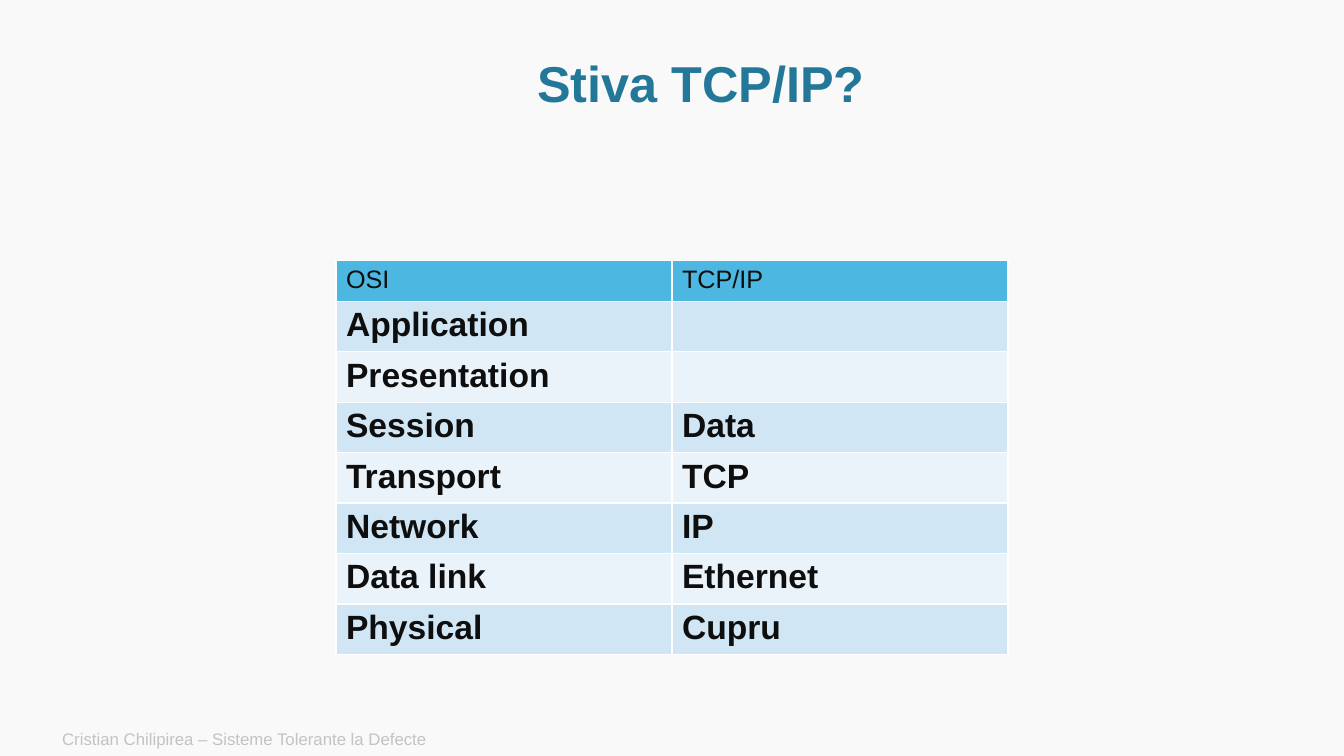
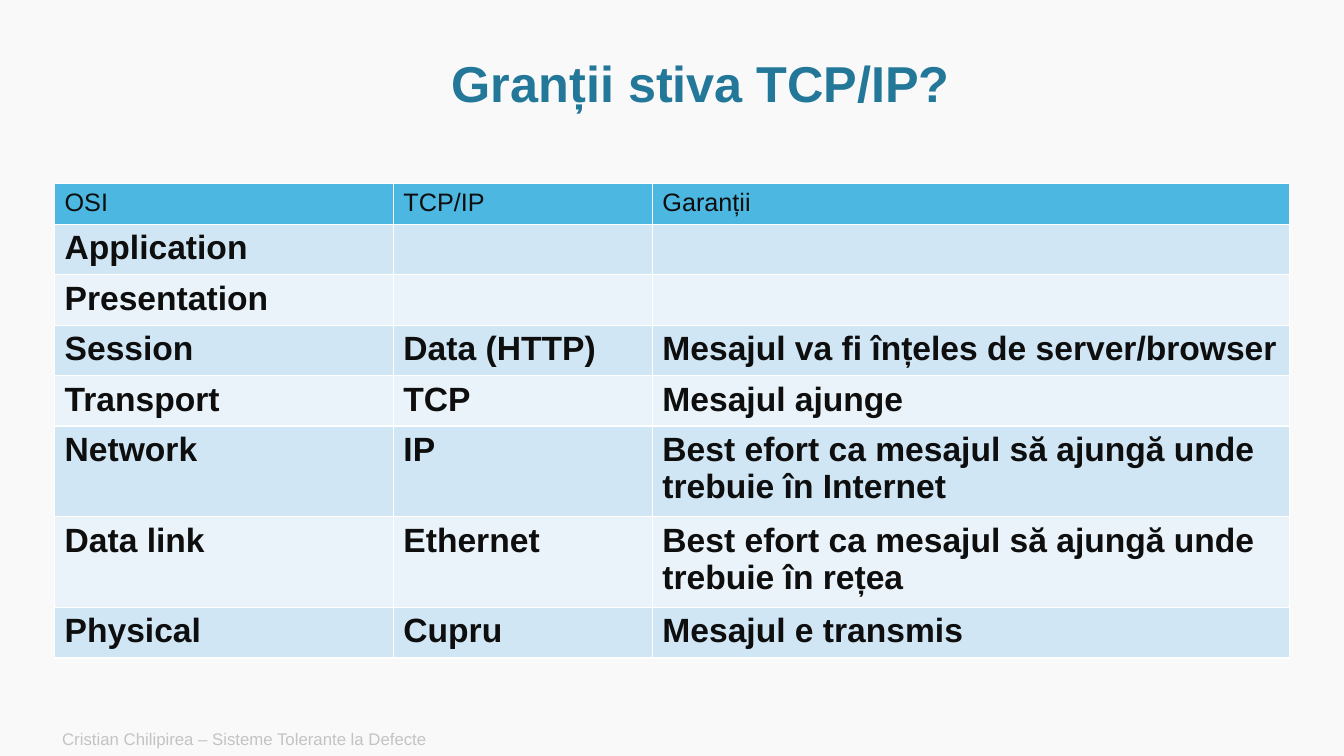
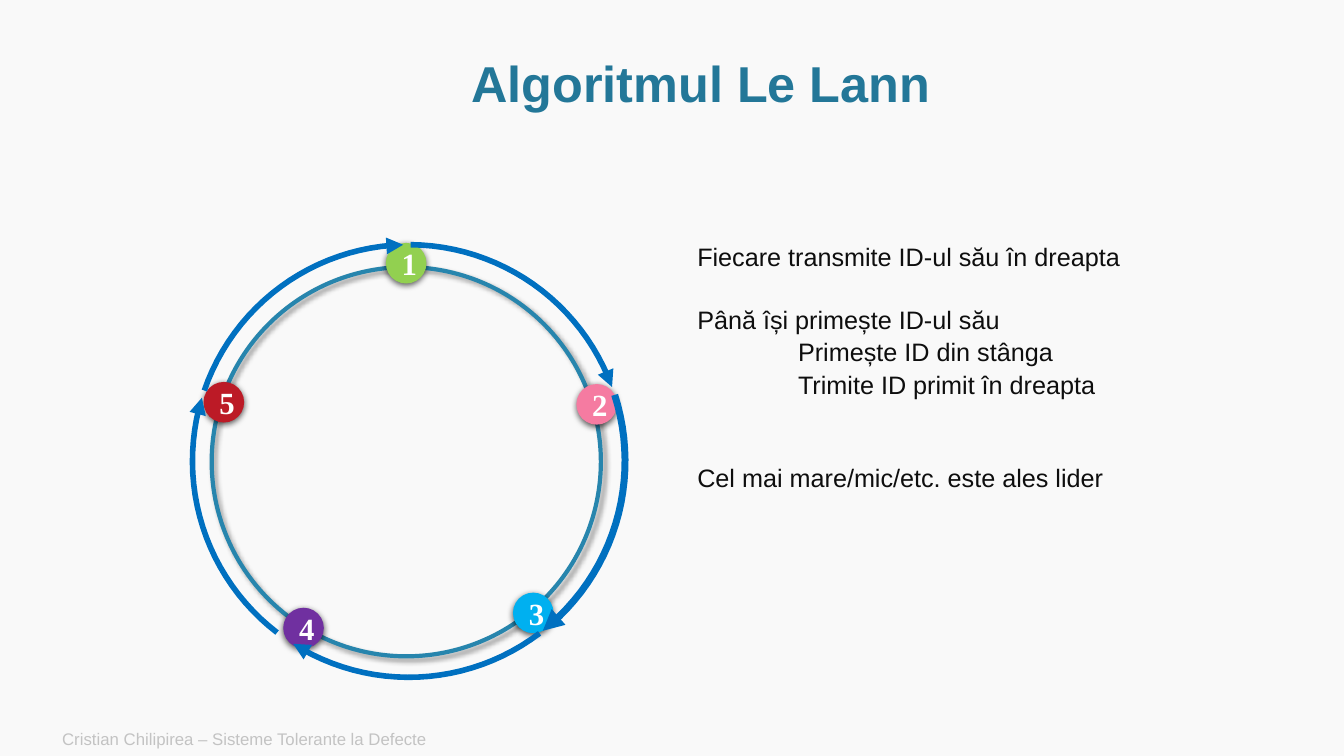
import math
from lxml import etree
from pptx import Presentation
from pptx import util as u
from pptx.dml import color as dml
from pptx.enum import shapes, text
from pptx.oxml import ns

Pt = u.Pt
WIDE, HIGH = 960, 540
PAGE, BLUE, INK, GREY = "F9F9F9", "237798", "0E0E0E", "C3C3C3"
WHITE, RING, ARROW = "FFFFFF", "2785AD", "0070C0"
HEAD, BANDS = "4CB7E1", ("D0E6F4", "E9F3F9")

TITLE = dict(name="Arial", size=Pt(36), bold=True, color=BLUE)
FOOT = dict(name="Arial", size=Pt(12), bold=False, color=GREY)
BODY = dict(name="Arial", size=Pt(18), bold=False, color=INK)
CELL = dict(name="Arial", size=Pt(24), bold=True, color=INK)
DIGIT = dict(name="Times New Roman", size=Pt(22), bold=True, color=WHITE)

CENTER = dict(alignment=text.PP_ALIGN.CENTER)
MIDDLE = text.MSO_ANCHOR.MIDDLE
FOOTER = "Cristian Chilipirea – Sisteme Tolerante la Defecte"

LAYERS = ["Application", "Presentation", "Session", "Transport",
          "Network", "Data link", "Physical"]
STACK = ["", "", "Data", "TCP", "IP", "Ethernet", "Cupru"]
WEB = ["Data (HTTP)" if name == "Data" else name for name in STACK]
PLEDGES = ["", "", "Mesajul va fi înțeles de server/browser",
           "Mesajul ajunge",
           "Best efort ca mesajul să ajungă unde trebuie în Internet",
           "Best efort ca mesajul să ajungă unde trebuie în rețea",
           "Mesajul e transmis"]

NODES = [("1", 142.1, 55.2, "92D050"), ("2", 278.2, 156, "F57BA1"),
         ("3", 232.9, 305, "00B0F0"), ("4", 68.8, 315.8, "7030A0"),
         ("5", 11.9, 154.5, "BC1A26")]
ARCS = [(0.5, 4), (72.2, 5), (142.8, 4), (217.5, 4), (289, 4)]
SWEEP = 69.5

STEPS = [("Fiecare transmite ID-ul său în dreapta", 0, 0),
         ("Până își primește ID-ul său", 0, 21.7),
         ("Primește ID din stânga", 72, 0),
         ("Trimite ID primit în dreapta", 72, 0),
         ("Cel mai mare/mic/etc. este ales lider", 0, 43.4)]


def rgb(code):
    return dml.RGBColor.from_string(code)


def paint(fill, code):
    fill.solid()
    fill.fore_color.rgb = rgb(code)


def write(para, words, style, **form):
    for key, val in form.items():
        setattr(para, key, val)
    run = para.add_run()
    run.text = words
    for key, val in style.items():
        if key == "color":
            run.font.color.rgb = rgb(val)
        else:
            setattr(run.font, key, val)


def add_box(slide, box):
    frame = slide.shapes.add_textbox(*map(Pt, box)).text_frame
    frame.word_wrap = True
    return frame


def label(slide, box, words, style, **form):
    frame = add_box(slide, box)
    frame.vertical_anchor = MIDDLE
    write(frame.paragraphs[0], words, style, **form)


def add_page(deck, title):
    slide = deck.slides.add_slide(deck.slide_layouts[6])
    label(slide, (82, 36.5, 837.5, 50), title, TITLE,
          line_spacing=0.9, **CENTER)
    label(slide, (37.3, 515.5, 605, 24.5), FOOTER, FOOT)
    return slide


def edge(cell):
    props = cell._tc.get_or_add_tcPr()
    for spot, side in enumerate(("lnL", "lnR", "lnT", "lnB")):
        line = etree.Element(ns.qn("a:" + side), w=str(Pt(1)))
        fill = etree.SubElement(line, ns.qn("a:solidFill"))
        etree.SubElement(fill, ns.qn("a:srgbClr"), val=WHITE)
        props.insert(spot, line)


def add_grid(slide, left, top, widths, heads, *cols):
    rows = [heads, *zip(*cols)]
    highs = [29.2] + [34] * (len(rows) - 1)
    box = map(Pt, (left, top, sum(widths), sum(highs)))
    table = slide.shapes.add_table(len(rows), len(widths), *box).table
    for col, wide in zip(table.columns, widths):
        col.width = Pt(wide)
    for i, (row, high) in enumerate(zip(rows, highs)):
        table.rows[i].height = Pt(high)
        for j, words in enumerate(row):
            cell = table.cell(i, j)
            paint(cell.fill, BANDS[(i - 1) % 2] if i else HEAD)
            edge(cell)
            if words:
                write(cell.text_frame.paragraphs[0], words,
                      CELL if i else BODY)


def shade(shape, alpha, blur, dist, turn):
    shape.shadow.inherit = False
    glow = shape._element.spPr.find(ns.qn("a:effectLst"))
    drop = etree.SubElement(
        glow, ns.qn("a:outerShdw"), blurRad=str(Pt(blur)),
        dist=str(Pt(dist)), dir=str(turn * 60000), rotWithShape="0")
    tint = etree.SubElement(drop, ns.qn("a:srgbClr"), val="000000")
    etree.SubElement(tint, ns.qn("a:alpha"), val=str(alpha * 1000))


def add_disc(slide, left, top, size):
    return slide.shapes.add_shape(
        shapes.MSO_SHAPE.OVAL, *map(Pt, (left, top, size, size)))


def add_arc(slide, mid, radius, start, width):
    turns = [math.radians(start + SWEEP * i / 24) for i in range(25)]
    dots = [(Pt(mid[0] + radius * math.sin(t)),
             Pt(mid[1] - radius * math.cos(t))) for t in turns]
    pen = slide.shapes.build_freeform(*dots[0])
    pen.add_line_segments(dots[1:], close=False)
    arc = pen.convert_to_shape()
    arc.shadow.inherit = False
    arc.fill.background()
    arc.line.width = Pt(width)
    paint(arc.line.fill, ARROW)
    etree.SubElement(arc.line._get_or_add_ln(), ns.qn("a:tailEnd"),
                     type="triangle")


def add_ring(slide, left, top):
    ring = add_disc(slide, left + 17.7, top + 72.5, 278)
    ring.fill.background()
    ring.line.width = Pt(3)
    paint(ring.line.fill, RING)
    shade(ring, 40, 4, 3, 45)
    for digit, x, y, code in NODES:
        node = add_disc(slide, left + x, top + y, 29)
        paint(node.fill, code)
        node.line.fill.background()
        shade(node, 63, 4.5, 1.5, 90)
        frame = node.text_frame
        frame.vertical_anchor = MIDDLE
        write(frame.paragraphs[0], digit, DIGIT, **CENTER)
    for start, width in ARCS:
        add_arc(slide, (left + 158.5, top + 211), 154.5, start, width)


def add_steps(slide, box):
    frame = add_box(slide, box)
    for i, (words, inset, gap) in enumerate(STEPS):
        para = frame.add_paragraph() if i else frame.paragraphs[0]
        if inset:
            para._p.get_or_add_pPr().set("marL", str(Pt(inset)))
        write(para, words, BODY, line_spacing=1.08, space_before=Pt(gap))


def main():
    deck = Presentation()
    deck.slide_width, deck.slide_height = Pt(WIDE), Pt(HIGH)
    paint(deck.slide_master.background.fill, PAGE)

    add_grid(add_page(deck, "Stiva TCP/IP?"), 240, 186, (240, 240),
             ("OSI", "TCP/IP"), LAYERS, STACK)
    add_grid(add_page(deck, "Granții stiva TCP/IP?"), 39, 131,
             (242, 185, 455), ("OSI", "TCP/IP", "Garanții"),
             LAYERS, WEB, PLEDGES)
    slide = add_page(deck, "Algoritmul Le Lann")
    add_ring(slide, 133.5, 118.3)
    add_steps(slide, (491, 167, 330, 181.4))
    deck.save("out.pptx")


if __name__ == "__main__":
    main()
